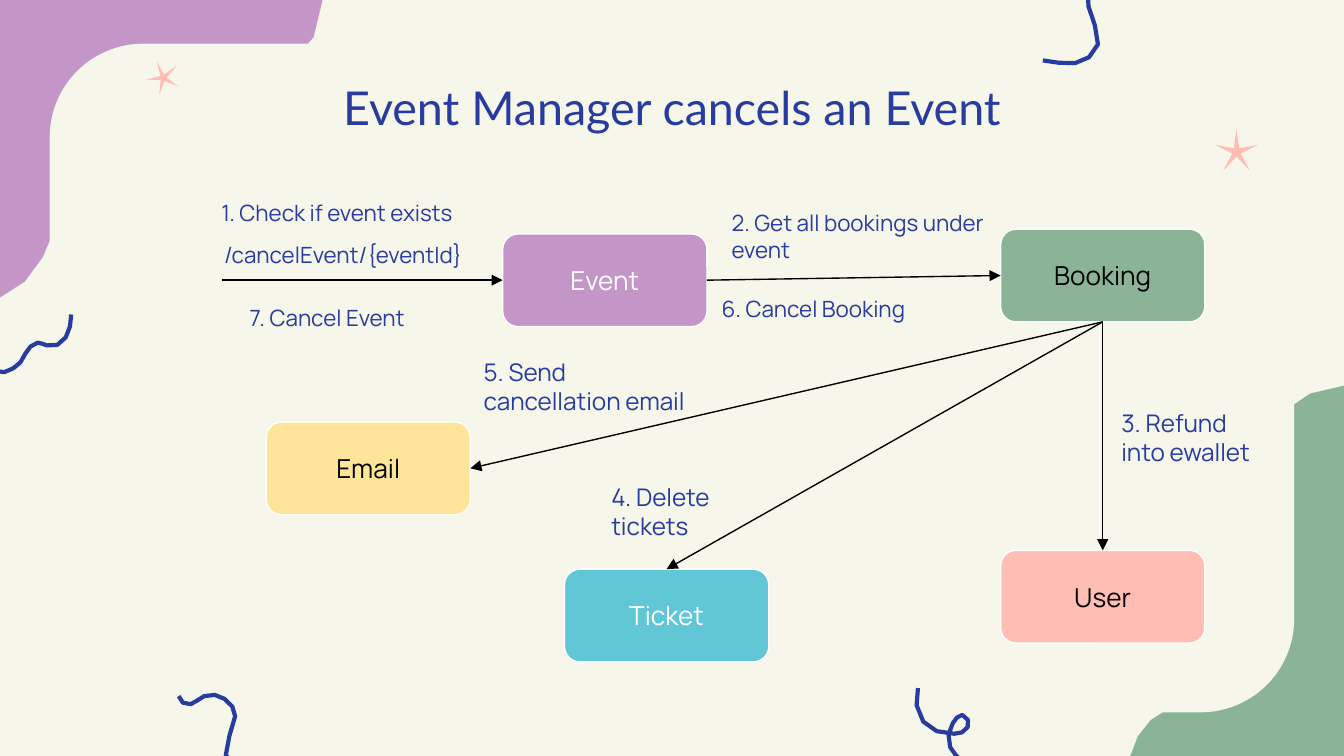
import lxml.etree
import pptx
import pptx.dml.color
import pptx.enum.shapes
import pptx.enum.text
import pptx.oxml.ns
import pptx.util

COLORS = {
    "cream": "F6F6EA", "navy": "283C9F", "purple": "C495C7", "green": "8BB496",
    "pink": "FFBDB4", "cyan": "61C7D6", "yellow": "FFE599",
    "white": "FFFFFF", "black": "000000",
}
COLUMNS, ROWS = 100, 56.25
WIDTH, HEIGHT = pptx.util.Inches(10), pptx.util.Inches(5.625)
NODE_SIZE = (15.2, 6.9)
CURVE_STEPS = 2
SHAPES = pptx.enum.shapes.MSO_SHAPE
TOP, LEFT, BOTTOM, RIGHT = range(4)

CORNERS = [
    ("green",
     [(84.1, 56.25), (84.3, 55.2), (84.9, 54.3), (85.6, 53.6), (86.8, 52.6), (88.3, 52.1),
      (89.4, 51.1), (90.4, 50.1), (90.8, 48.7), (91, 47.3), (91.2, 45.9), (91.1, 44.5),
      (91.1, 43.1), (91.3, 40.2), (91.6, 37.7), (92.7, 35), (93.3, 33.5), (94.3, 31.8),
      (95.4, 30.7), (96.5, 29.6), (98.3, 28.7), (100, 28.7)],
     (100, 56.25)),
    ("purple",
     [(24, 0), (24.1, 1.9), (23, 3.8), (21.4, 5), (19.9, 6.2), (17.9, 6.8), (16, 7.4),
      (14.1, 8), (12.2, 8.5), (10.4, 9.4), (8, 10.7), (6.1, 12.6), (4.9, 14.9),
      (4.3, 16.3), (3.9, 17.7), (3.2, 19.1), (2.5, 20.4), (1.4, 21.7), (-0.1, 22.2)],
     (-0.1, 0)),
]
SQUIGGLES = [
    [(68.3, 51.2), (68, 52), (68.2, 53), (68.7, 53.7), (69.2, 54.3), (70.1, 54.7), (71, 54.6),
     (71.4, 54.6), (71.8, 54.5), (72, 54.1), (72.2, 53.8), (72, 53.3), (71.6, 53.2),
     (71.3, 53.2), (71.1, 53.5), (70.9, 53.8), (70.6, 54.3), (70.4, 55), (70.7, 55.6),
     (70.9, 56), (71.3, 56.4), (71.6, 56.7), (72.2, 57), (72.7, 57.3), (73.3, 57.4),
     (74, 57.5), (74.7, 57.2), (75.4, 57.2), (76.1, 57.1), (76.9, 57.2), (77.3, 57.8)],
    [(77.6, 4.5), (78.4, 4.6), (79.2, 4.8), (80, 4.7), (80.7, 4.6), (81.5, 4.1), (81.7, 3.3),
     (81.9, 2.3), (81.1, 1.4), (81, 0.5), (80.9, 0.1), (80.9, -0.4), (81.3, -0.6),
     (81.8, -1), (82.7, -0.2), (83.3, -0.5), (83.6, -0.6), (83.8, -0.8), (84, -1.4)],
    [(-1, 24.4), (-1.3, 24.9), (-1.4, 25.6), (-1.3, 26.2), (-1.2, 26.8), (-0.9, 27.3),
     (-0.4, 27.6), (0.1, 27.8), (0.6, 27.7), (1, 27.4), (1.4, 27.2), (1.7, 26.8),
     (1.9, 26.3), (2.1, 26), (2.4, 25.5), (2.8, 25.5), (3, 25.5), (3.2, 25.6), (3.5, 25.7),
     (4, 25.9), (4.6, 25.6), (4.9, 25.1), (5.2, 24.6), (5.3, 24), (5.3, 23.4)],
    [(13.3, 51.8), (13.3, 52.2), (13.8, 52.5), (14.2, 52.4), (14.5, 52.3), (14.8, 52),
     (15.2, 51.8), (15.7, 51.6), (16.3, 51.7), (16.7, 52), (17.2, 52.3), (17.5, 52.8),
     (17.5, 53.3), (17.5, 54.3), (16.6, 55.2), (16.8, 56.2), (17, 57), (18.1, 57.4),
     (18.8, 57)],
]
STARS = [(11, 4.7, 2.5, 2.3, 120.9), (90.4, 9.6, 3.2, 3.1, 0)]
NODES = {
    "Event": (22.4, 4.4, "purple", "white"),
    "Booking": (59.45, 4.05, "green", "black"),
    "Ticket": (27, 29.35, "cyan", "white"),
    "Email": (4.8, 18.4, "yellow", "black"),
    "User": (59.45, 27.95, "pink", "black"),
}
LINKS = [
    ("Event", RIGHT, "Booking", LEFT),
    ("Booking", BOTTOM, "Ticket", TOP),
    ("Booking", BOTTOM, "Email", RIGHT),
    ("Booking", BOTTOM, "User", TOP),
]
LABELS = [
    ("1. Check if event exists", 0.5, 0.8, 23, 6.3, 12),
    ("/cancelEvent/{eventId}", 0.7, 3.95, 23.4, 3.2, 12),
    ("2. Get all bookings under event", 38.45, 1.55, 21.9, 6.1, 12),
    ("3. Refund into ewallet", 67.45, 16.4, 12.7, 6.3, 13),
    ("4. Delete tickets", 29.5, 21.9, 13.5, 6.1, 13),
    ("5. Send cancellation email", 20, 12.6, 17.5, 3.2, 13),
    ("6. Cancel Booking", 37.7, 8, 18.2, 4, 12),
    ("7. Cancel Event", 2.6, 8.65, 19.7, 4.8, 12),
]


def rgb(name):
    return pptx.dml.color.RGBColor.from_string(COLORS[name])


def place(box, x, y):
    return round((box[0] + x) * WIDTH / COLUMNS), round((box[1] + y) * HEIGHT / ROWS)


def extent(w, h):
    return place((0, 0), w, h)


def paint(sp, fill=None, line=None, weight=0.75):
    sp.shadow.inherit = False
    if fill:
        sp.fill.solid()
        sp.fill.fore_color.rgb = rgb(fill)
    else:
        sp.fill.background()
    if line:
        sp.line.color.rgb = rgb(line)
        sp.line.width = pptx.util.Pt(weight)
    else:
        sp.line.fill.background()


def write(sp, text, size, color, font="Manrope", align=None, anchor="TOP"):
    tf = sp.text_frame
    tf.word_wrap = True
    tf.auto_size = pptx.enum.text.MSO_AUTO_SIZE.NONE
    tf.vertical_anchor = pptx.enum.text.MSO_ANCHOR[anchor]
    tf.margin_left = tf.margin_right = tf.margin_top = tf.margin_bottom = pptx.util.Inches(0.1)
    tf.text = text
    p = tf.paragraphs[0]
    if align:
        p.alignment = pptx.enum.text.PP_ALIGN[align]
    r = p.runs[0]
    r.font.size = pptx.util.Pt(size)
    r.font.name = font
    r.font.color.rgb = rgb(color)


def bezier(points):
    trace = [points[0]]
    for i in range(0, len(points) - 1, 3):
        for step in range(1, CURVE_STEPS + 1):
            t = step / CURVE_STEPS
            weights = ((1 - t) ** 3, 3 * t * (1 - t) ** 2, 3 * t * t * (1 - t), t ** 3)
            trace.append(tuple(
                sum(w * pt[axis] for w, pt in zip(weights, points[i:i + 4])) for axis in (0, 1)))
    return trace


def add_outline(s, box, points, close):
    trace = [place(box, x, y) for x, y in points]
    builder = s.shapes.build_freeform(*trace[0], scale=1.0)
    builder.add_line_segments(trace[1:], close=close)
    return builder.convert_to_shape()


def add_arrow(s, start, end):
    line = s.shapes.add_connector(pptx.enum.shapes.MSO_CONNECTOR.STRAIGHT, *start, *end)
    line.line.color.rgb = rgb("black")
    line.line.width = pptx.util.Pt(0.75)
    qn = pptx.oxml.ns.qn
    sp_pr = line._element.spPr
    lxml.etree.SubElement(sp_pr.find(qn("a:ln")), qn("a:tailEnd"), type="triangle")
    lxml.etree.SubElement(sp_pr, qn("a:effectLst"))
    return line


def draw_backdrop(s, box):
    for color, curve, corner in CORNERS:
        paint(add_outline(s, box, bezier(curve) + [corner], True), color)
    panel = s.shapes.add_shape(SHAPES.ROUNDED_RECTANGLE, *place(box, 3.7, 3.25), *extent(92.6, 49.75))
    panel.adjustments[0] = 0.14
    paint(panel, "cream")
    for curve in SQUIGGLES:
        paint(add_outline(s, box, bezier(curve), False), line="navy", weight=2.25)
    for x, y, w, h, angle in STARS:
        star = s.shapes.add_shape(SHAPES.STAR_5_POINT, *place(box, x, y), *extent(w, h))
        star.adjustments[0] = 0.097
        star.rotation = angle
        paint(star, "pink")


def draw_title(s, box):
    title = s.shapes.title
    title.left, title.top = place(box, 0, 0)
    title.width, title.height = extent(*box[2:])
    write(title, "Event Manager cancels an Event", 25, "navy", "Lato", "CENTER")
    s.shapes._spTree.append(title._element)


def draw_flow(s, box):
    nodes = {}
    for name, (x, y, fill, color) in NODES.items():
        sp = s.shapes.add_shape(SHAPES.ROUNDED_RECTANGLE, *place(box, x, y), *extent(*NODE_SIZE))
        paint(sp, fill, "white")
        write(sp, name, 14, color, align="CENTER", anchor="MIDDLE")
        nodes[name] = sp
    request = add_arrow(s, place(box, 1.55, 7.85), place(box, 22.4, 7.85))
    request.end_connect(nodes["Event"], LEFT)
    for source, out_side, target, in_side in LINKS:
        link = add_arrow(s, (0, 0), (0, 0))
        link.begin_connect(nodes[source], out_side)
        link.end_connect(nodes[target], in_side)
    for text, x, y, w, h, size in LABELS:
        write(s.shapes.add_textbox(*place(box, x, y), *extent(w, h)), text, size, "navy")


def main():
    prs = pptx.Presentation()
    prs.slide_width, prs.slide_height = WIDTH, HEIGHT
    s = prs.slides.add_slide(prs.slide_layouts[5])
    s.background.fill.solid()
    s.background.fill.fore_color.rgb = rgb("cream")
    draw_backdrop(s, (0, 0, COLUMNS, ROWS))
    draw_title(s, (7.85, 4.9, 84.3, 6.3))
    draw_flow(s, (15, 13, 80, 37))
    prs.save("out.pptx")


if __name__ == "__main__":
    main()
